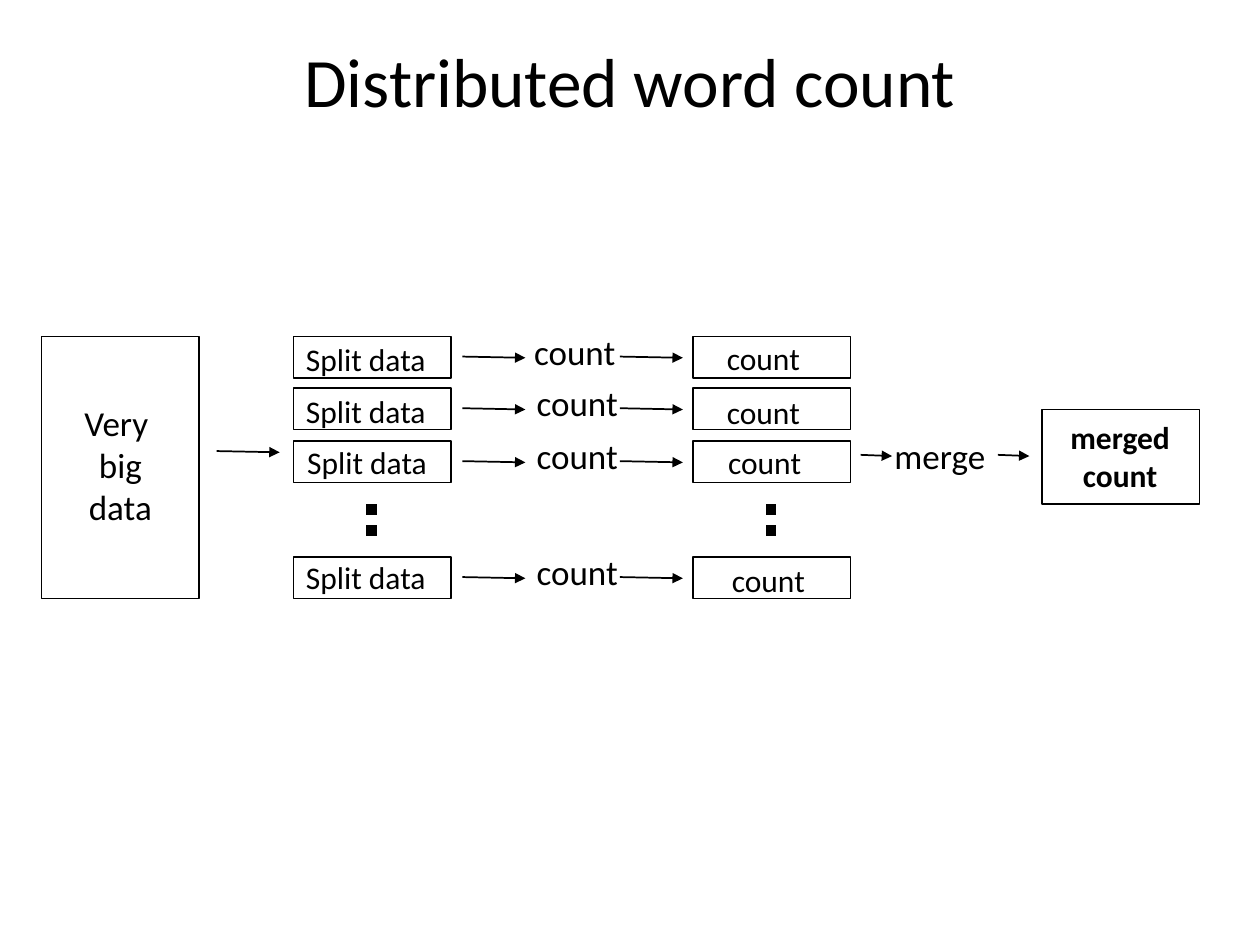
from pptx import Presentation
from pptx.dml.color import RGBColor
from pptx.enum.dml import MSO_LINE
from pptx.enum.shapes import MSO_CONNECTOR, MSO_SHAPE
from pptx.enum.text import MSO_ANCHOR, PP_ALIGN
from pptx.oxml.ns import qn
from pptx.util import Inches, Pt
from lxml import etree

BLACK = RGBColor(0, 0, 0)
WHITE = RGBColor(255, 255, 255)
RECT = MSO_SHAPE.RECTANGLE
STRAIGHT = MSO_CONNECTOR.STRAIGHT
DOTS = MSO_LINE.ROUND_DOT
TOP = MSO_ANCHOR.TOP
LEFT, CENTER = PP_ALIGN.LEFT, PP_ALIGN.CENTER

prs = Presentation()
prs.slide_width, prs.slide_height = Inches(10), Inches(7.5)
s = prs.slides.add_slide(prs.slide_layouts[6])


def add_label(x, y, w, h, lines, size, align=LEFT, bold=False):
    sp = s.shapes.add_textbox(Inches(x), Inches(y), Inches(w), Inches(h))
    tf = sp.text_frame
    tf.word_wrap = True
    tf.vertical_anchor = TOP
    for i, line in enumerate(lines):
        p = tf.add_paragraph() if i else tf.paragraphs[0]
        p.alignment = align
        r = p.add_run()
        r.text = line
        r.font.name = "Calibri"
        r.font.size = Pt(size)
        r.font.bold = bold
        r.font.color.rgb = BLACK
    return tf


def add_line(x1, y1, x2, y2, width=1, dotted=False):
    sp = s.shapes.add_connector(STRAIGHT, Inches(x1), Inches(y1), Inches(x2), Inches(y2))
    sp.line.color.rgb = BLACK
    sp.line.width = Pt(width)
    if dotted:
        sp.line.dash_style = DOTS
    else:
        etree.SubElement(sp.line._get_or_add_ln(), qn("a:tailEnd"), type="triangle")
    etree.SubElement(sp._element.spPr, qn("a:effectLst"))


title = add_label(0.5, 0.3, 9, 1.25, ["Distributed word count"], 39.6, CENTER)
title.margin_top = 0

row_tops = [2.67, 3.08, 3.5, 4.42]
boxes = [(0.33, 2.67, 2.08), (8.27, 3.25, 0.75)]
boxes += [(x, y, 0.33) for x in (2.33, 5.5) for y in row_tops]
for x, y, h in boxes:
    sp = s.shapes.add_shape(RECT, Inches(x), Inches(y), Inches(1.25), Inches(h))
    sp.shadow.inherit = False
    sp.fill.solid()
    sp.fill.fore_color.rgb = WHITE
    sp.line.color.rgb = BLACK
    sp.line.width = Pt(0.75)

add_label(0.53, 3.14, 0.85, 1.1, ["Very ", "big", "data"], 20, CENTER)
add_line(1.72, 3.58, 2.22, 3.59)

split_spots = [(2.33, 2.65), (2.33, 3.06), (2.34, 3.47), (2.33, 4.38)]
result_spots = [(5.67, 2.64), (5.67, 3.07), (5.68, 3.47), (5.71, 4.4)]
step_lefts = [4.14, 4.16, 4.16, 4.16]
for y, split, step_x, result in zip(row_tops, split_spots, step_lefts, result_spots):
    add_label(*split, 1.24, 0.4, ["Split data"], 18)
    add_label(step_x, y - 0.1, 0.88, 0.43, ["count"], 20)
    add_label(*result, 0.81, 0.4, ["count"], 18)
    for x in (3.67, 4.92):
        add_line(x, y + 0.16, x + 0.5, y + 0.17)

for x in (2.95, 6.12):
    add_line(x, 4, x, 4.25, 6, True)

add_label(7, 3.4, 0.99, 0.43, ["merge"], 20)
for x in (6.83, 7.92):
    add_line(x, 3.61, x + 0.25, 3.62)
add_label(8.34, 3.27, 1.1, 0.7, ["merged", "count"], 18, CENTER, True)

prs.save("out.pptx")
